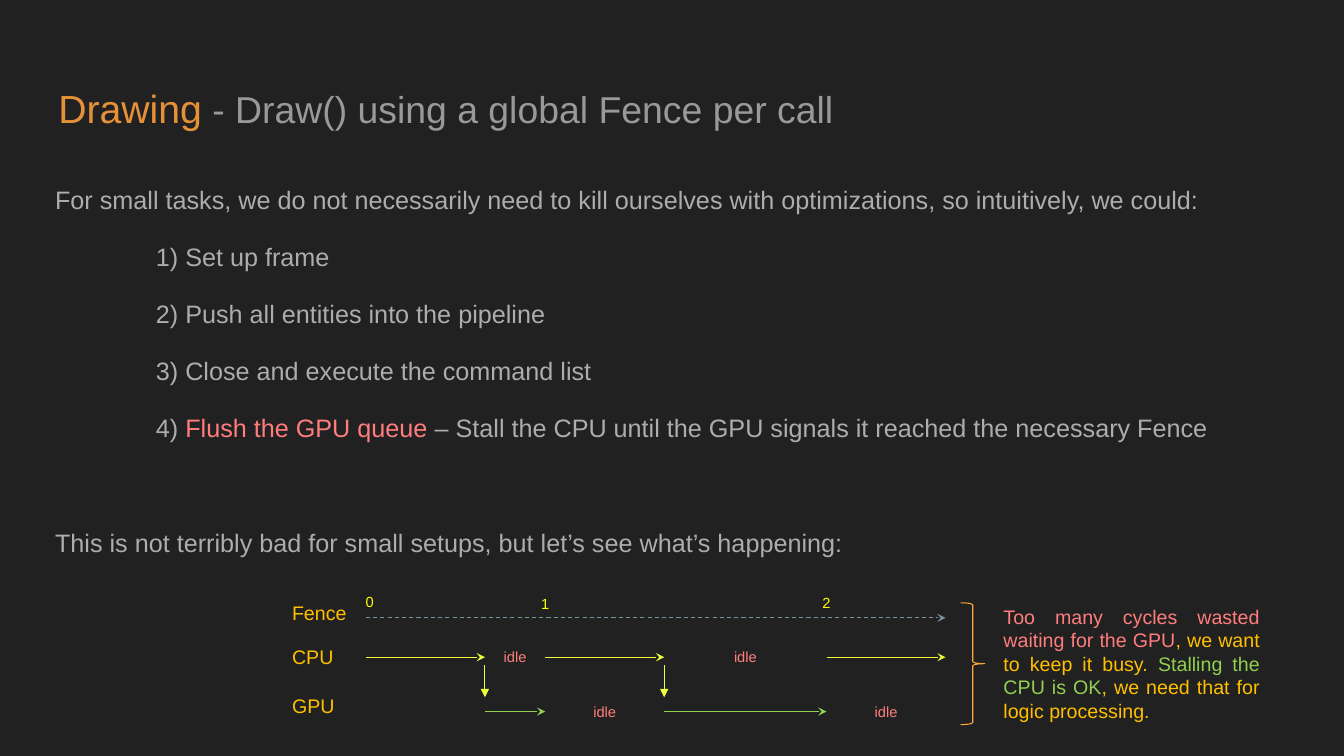
import pptx
import pptx.dml.color
import pptx.enum.dml
import pptx.enum.shapes
import pptx.enum.text
import pptx.oxml.ns
import pptx.util
from lxml import etree

Cm, Pt = pptx.util.Cm, pptx.util.Pt
Align = pptx.enum.text.PP_ALIGN
Anchor = pptx.enum.text.MSO_ANCHOR

GREY, RED, GOLD = "ADADAD", "FF7D7D", "FFC000"
GREEN, LIME, YELLOW = "92D050", "EDFE3B", "FFFF00"


def color(code):
    return pptx.dml.color.RGBColor.from_string(code)


class Board:
    """Holds the font and the slide being drawn on; lengths are in cm."""

    def __init__(self, slide, back, font="Arial"):
        self.slide, self.font = slide, font
        fill = slide.background.fill
        fill.solid()
        fill.fore_color.rgb = color(back)

    def box(self, x, y, w, h, pad=None, anchor=Anchor.TOP):
        """Add an empty text box and return its frame."""
        frame = self.slide.shapes.add_textbox(Cm(x), Cm(y), Cm(w), Cm(h)).text_frame
        frame.word_wrap = True
        frame.vertical_anchor = anchor
        if pad is not None:
            frame.margin_left = frame.margin_right = Cm(pad)
            frame.margin_top = frame.margin_bottom = Cm(pad)
        return frame

    def words(self, para, parts, size, align=Align.LEFT):
        """Fill a paragraph with (text, colour) parts."""
        para.alignment = align
        para.font.name = self.font
        para.font.size = Pt(size)
        for text, code in parts:
            run = para.add_run()
            run.text = text
            run.font.color.rgb = color(code)

    def label(self, text, code, size, x, y, w, h, align=Align.LEFT):
        self.words(self.box(x, y, w, h).paragraphs[0], [(text, code)], size, align)

    def arrow(self, x1, y1, x2, y2, code, head="stealth", dash=False):
        line = self.slide.shapes.add_connector(
            pptx.enum.shapes.MSO_CONNECTOR.STRAIGHT, Cm(x1), Cm(y1), Cm(x2), Cm(y2))
        line.line.color.rgb = color(code)
        line.line.width = Pt(0.75)
        if dash:
            line.line.dash_style = pptx.enum.dml.MSO_LINE.DASH
        qn, props = pptx.oxml.ns.qn, line.element.spPr
        etree.SubElement(props.find(qn("a:ln")), qn("a:tailEnd")).set("type", head)
        etree.SubElement(props, qn("a:effectLst"))

    def brace(self, x, y, w, h, code):
        shape = self.slide.shapes.add_shape(
            pptx.enum.shapes.MSO_SHAPE.RIGHT_BRACE, Cm(x), Cm(y), Cm(w), Cm(h))
        shape.shadow.inherit = False
        shape.fill.background()
        shape.line.color.rgb = color(code)
        shape.line.width = Pt(0.75)


def title(board):
    para = board.box(1.14, 1.65, 31.55, 2.13, 0.33, Anchor.MIDDLE).paragraphs[0]
    board.words(para, [("Drawing", "E69138"), (" ", "E69138"),
                       ("- Draw() using a global Fence per call", "999999")], 26.7)
    para.runs[0].font.size = Pt(28)


def body(board):
    intro = ("For small tasks, we do not necessarily need to kill ourselves "
             "with optimizations, so intuitively, we could:")
    steps = [
        [("1) Set up frame", GREY)],
        [("2) Push all entities into the pipeline", GREY)],
        [("3) Close and execute the command list", GREY)],
        [("4) ", GREY), ("Flush the GPU queue", RED),
         (" – Stall the CPU until the GPU signals it reached the necessary Fence", GREY)],
    ]
    outro = "This is not terribly bad for small setups, but let’s see what’s happening:"

    frame = board.box(1.14, 4.27, 31.55, 10.39, 0.25)
    rows = [[(intro, GREY)], *steps, [(outro, GREY)]]
    for i, parts in enumerate(rows):
        para = frame.paragraphs[0] if i == 0 else frame.add_paragraph()
        board.words(para, parts, 18)
        para.line_spacing = 1.15
        para.space_after = Pt(16)
        if parts in steps:
            para._p.get_or_add_pPr().set("marL", str(Cm(2.54)))
    para.space_before = Pt(41)


def chart(board):
    """Draw the timeline of fence, CPU and GPU."""
    fence, cpu, gpu = 15.57, 16.56, 17.93
    start, push1, done1, push2, done2, end = 9.22, 12.22, 13.74, 16.74, 20.83, 23.83

    board.arrow(start, fence, end, fence, "78909C", dash=True)
    for x1, x2 in (start, push1), (done1, push2), (done2, end):
        board.arrow(x1, cpu, x2, cpu, LIME)
    for x1, x2 in (push1, done1), (push2, done2):
        board.arrow(x1, gpu, x2, gpu, GREEN)
        board.arrow(x1, cpu + 0.2, x1, gpu - 0.36, LIME, "triangle")

    for name, y in ("Fence", 15.01), ("CPU", 16.13), ("GPU", 17.37):
        board.label(name, GOLD, 14, 7.11, y, 2.03, 0.86)
    for mark, x, y in ("0", start + 0.1, 14.81), ("1", done1, 14.86), ("2", done2, 14.83):
        board.label(mark, YELLOW, 10.5, x - 0.52, y, 1.04, 0.71, Align.CENTER)
    for x1, x2, y in ((push1, done1, cpu), (push2, done2, cpu),
                      (done1, push2, gpu), (done2, end, gpu)):
        board.label("idle", RED, 10.5, (x1 + x2) / 2 - 0.65, y - 0.35, 1.3, 0.71,
                    Align.CENTER)


def remark(board):
    board.brace(24.21, 15.19, 0.61, 3.07, "FEA83A")
    parts = [("Too many cycles wasted waiting for the GPU", RED),
             (", we want to keep it busy. ", GOLD),
             ("Stalling the CPU is OK", GREEN),
             (", we need that for logic processing.", GOLD)]
    frame = board.box(25.04, 15.11, 6.96, 3.25)
    board.words(frame.paragraphs[0], parts, 14, Align.JUSTIFY)


def main():
    deck = pptx.Presentation()
    deck.slide_width, deck.slide_height = Cm(33.87), Cm(19.05)
    board = Board(deck.slides.add_slide(deck.slide_layouts[6]), "212121")
    for draw in title, body, chart, remark:
        draw(board)
    deck.save("out.pptx")


if __name__ == "__main__":
    main()
